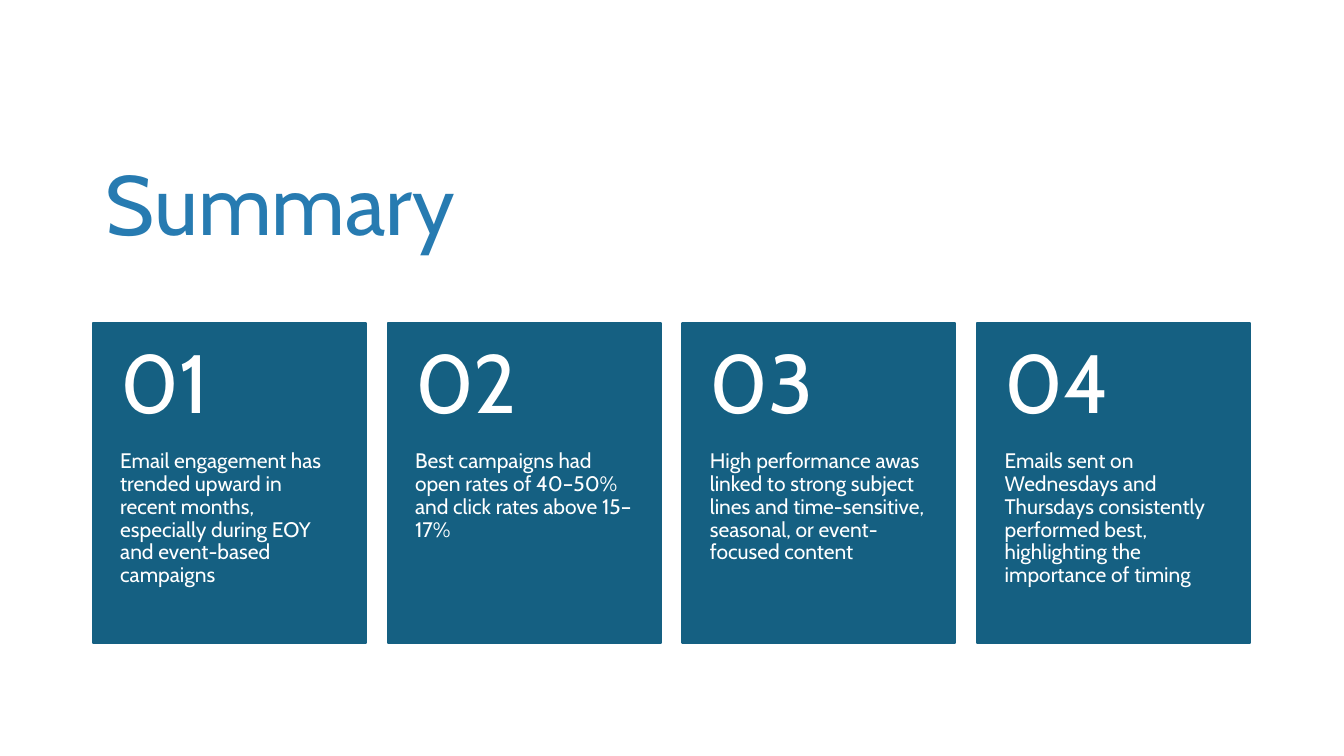
from dataclasses import dataclass

from pptx import Presentation
from pptx.dml.color import RGBColor
from pptx.enum.shapes import MSO_SHAPE
from pptx.enum.text import MSO_ANCHOR as Anchor, PP_ALIGN
from pptx.slide import Slide
from pptx.util import Cm, Pt

FONT = "Cabin"
TITLE_BLUE = RGBColor(0x27, 0x7B, 0xB1)
CARD_BLUE = RGBColor(0x15, 0x60, 0x82)
WHITE = RGBColor(0xFF, 0xFF, 0xFF)

CARD_LEFT, CARD_TOP = 2.34, 8.13
CARD_WIDTH, CARD_HEIGHT = 6.88, 8.08
CARD_PITCH = 7.43
NUMBER_HEIGHT = 3.23


@dataclass(frozen=True)
class Box:
    """A rectangle in centimetres."""
    left: float
    top: float
    width: float
    height: float

    def lengths(self) -> tuple[Cm, Cm, Cm, Cm]:
        return Cm(self.left), Cm(self.top), Cm(self.width), Cm(self.height)


@dataclass(frozen=True)
class TextStyle:
    """Text look; insets are left, top, right and bottom in centimetres."""
    size: int
    color: RGBColor
    anchor: Anchor
    insets: tuple[float, float, float, float]


TITLE = TextStyle(60, TITLE_BLUE, Anchor.BOTTOM, (0.25, 0.13, 0.25, 0.13))
NUMBER = TextStyle(59, WHITE, Anchor.MIDDLE, (0.69, 0.46, 0.69, 0.46))
BODY = TextStyle(15, WHITE, Anchor.TOP, (0.69, 0, 0.69, 0.91))

FINDINGS = [
    "Email engagement has trended upward in recent months, "
    "especially during EOY and event-based campaigns",
    "Best campaigns had open rates of 40–50% and click rates above 15–17%",
    "High performance awas linked to strong subject lines and "
    "time-sensitive, seasonal, or event-focused content",
    "Emails sent on Wednesdays and Thursdays consistently performed best, "
    "highlighting the importance of timing",
]


def add_text(slide: Slide, box: Box, text: str, style: TextStyle) -> None:
    tf = slide.shapes.add_textbox(*box.lengths()).text_frame
    tf.word_wrap = True
    tf.vertical_anchor = style.anchor
    tf.margin_left, tf.margin_top, tf.margin_right, tf.margin_bottom = map(
        Cm, style.insets)
    p = tf.paragraphs[0]
    p.text = text
    p.alignment = PP_ALIGN.LEFT
    p.line_spacing = 0.9
    p.font.name = FONT
    p.font.size = Pt(style.size)
    p.font.color.rgb = style.color


def add_card(slide: Slide, index: int, finding: str) -> None:
    left = CARD_LEFT + index * CARD_PITCH
    card = Box(left, CARD_TOP, CARD_WIDTH, CARD_HEIGHT)
    sp = slide.shapes.add_shape(MSO_SHAPE.RECTANGLE, *card.lengths())
    sp.shadow.inherit = False
    sp.fill.solid()
    sp.fill.fore_color.rgb = CARD_BLUE
    sp.line.color.rgb = CARD_BLUE
    sp.line.width = Pt(1.5)

    body = Box(left, CARD_TOP + NUMBER_HEIGHT, CARD_WIDTH,
               CARD_HEIGHT - NUMBER_HEIGHT)
    add_text(slide, body, finding, BODY)
    number = Box(left, CARD_TOP, CARD_WIDTH, NUMBER_HEIGHT)
    add_text(slide, number, f"{index + 1:02}", NUMBER)


def main() -> None:
    prs = Presentation()
    prs.slide_width, prs.slide_height = Cm(33.87), Cm(19.05)
    slide = prs.slides.add_slide(prs.slide_layouts[6])
    add_text(slide, Box(2.41, 1.19, 29.18, 5.33), "Summary", TITLE)
    for index, finding in enumerate(FINDINGS):
        add_card(slide, index, finding)
    prs.save("out.pptx")


if __name__ == "__main__":
    main()
